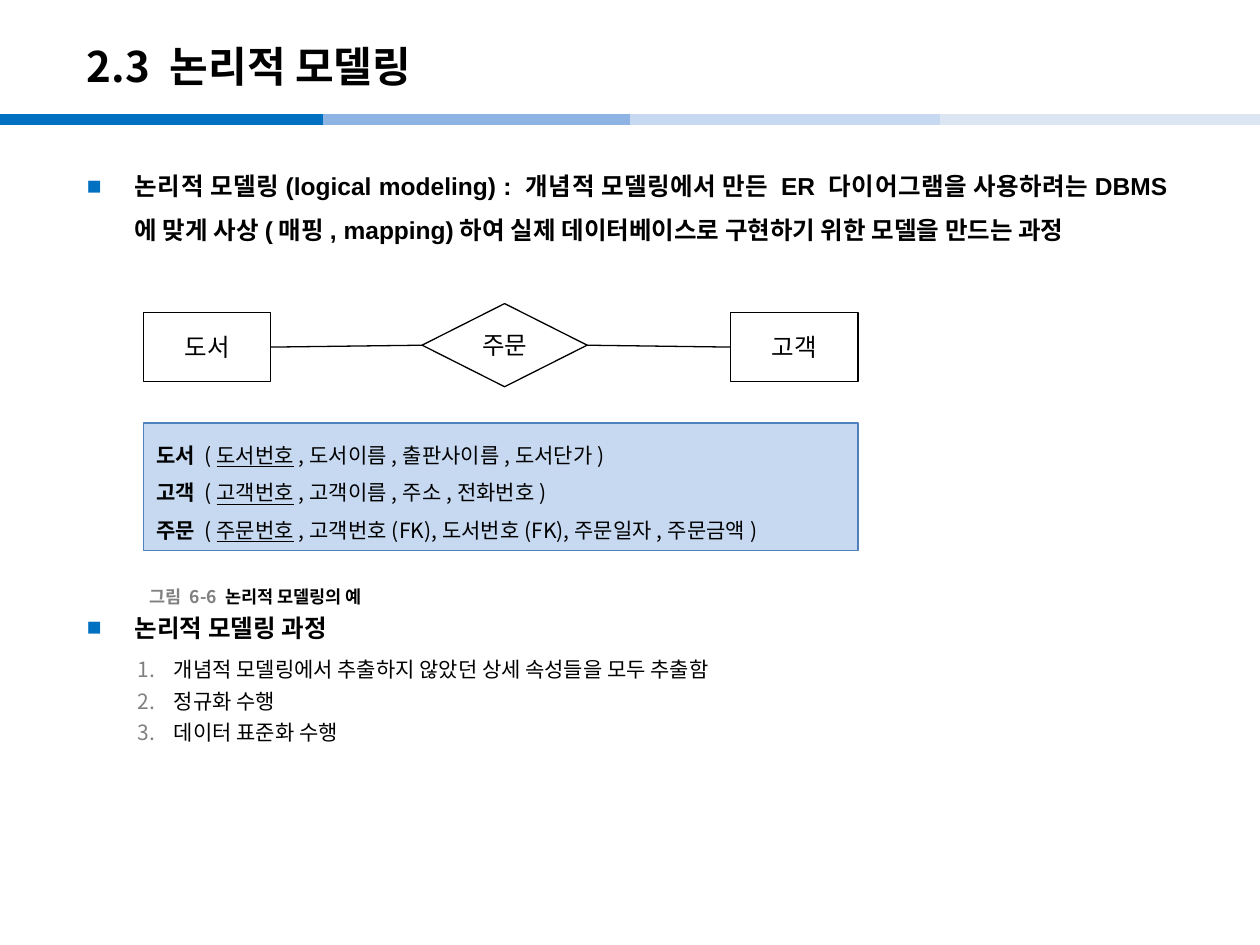
import pptx
import pptx.util
import pptx.dml.color
import pptx.enum.shapes
import pptx.enum.text
import pptx.oxml.ns
from lxml import etree

Inches = pptx.util.Inches
Pt = pptx.util.Pt
RGBColor = pptx.dml.color.RGBColor
Align = pptx.enum.text.PP_ALIGN
Anchor = pptx.enum.text.MSO_ANCHOR
Shape = pptx.enum.shapes.MSO_SHAPE
STRAIGHT = pptx.enum.shapes.MSO_CONNECTOR.STRAIGHT
qn = pptx.oxml.ns.qn

BLACK = RGBColor(0x00, 0x00, 0x00)
WHITE = RGBColor(0xFF, 0xFF, 0xFF)
GRAY = RGBColor(0x80, 0x80, 0x80)
BLUE = RGBColor(0x00, 0x70, 0xC0)
MID_BLUE = RGBColor(0x8E, 0xB4, 0xE3)
LIGHT_BLUE = RGBColor(0xC6, 0xD9, 0xF1)
PALE_BLUE = RGBColor(0xDC, 0xE6, 0xF2)
BORDER_BLUE = RGBColor(0x4F, 0x81, 0xBD)
KOREAN = "Noto Sans CJK KR"


def add_span(para, text, size, bold=False, color=BLACK, latin=KOREAN, underline=False):
    span = para.add_run()
    span.text = text
    span.font.size = Pt(size)
    span.font.bold = bold
    span.font.underline = underline
    span.font.color.rgb = color
    span.font.name = latin
    etree.SubElement(span.font._element, qn("a:ea"), typeface=KOREAN)


def add_line(start, end, color, width):
    line = page.shapes.add_connector(STRAIGHT, *[Inches(v) for v in start + end])
    line.line.color.rgb = color
    line.line.width = Pt(width)
    etree.SubElement(line._element.spPr, qn("a:effectLst"))
    return line


deck = pptx.Presentation()
deck.slide_width, deck.slide_height = Inches(10), Inches(7.5)
page = deck.slides.add_slide(deck.slide_layouts[1])

# Coloured band under the title
for left, color in [(0, BLUE), (2.56, MID_BLUE), (5, LIGHT_BLUE), (7.46, PALE_BLUE)]:
    add_line((left, 0.95), (left + 2.56, 0.95), color, 6)

title = page.shapes.title
title.left, title.top, title.width, title.height = [Inches(v) for v in (0.59, 0.22, 8.27, 0.6)]
title.text_frame.vertical_anchor = Anchor.MIDDLE
para = title.text_frame.paragraphs[0]
para.alignment = Align.LEFT
add_span(para, "2.3 논리적 모델링", 24, bold=True)

# Headings and numbered steps; the second heading leaves room for the diagram
body = page.placeholders[1]
body.left, body.top, body.width, body.height = [Inches(v) for v in (0.59, 1.19, 8.82, 5.98)]
body.text_frame.auto_size = pptx.enum.text.MSO_AUTO_SIZE.NONE
body_items = [
    (0, 0, "논리적 모델링(logical modeling) : 개념적 모델링에서 만든 ER 다이어그램을 사용하려는DBMS에 "
           "맞게 사상(매핑, mapping)하여 실제 데이터베이스로 구현하기 위한 모델을 만드는 과정"),
    (0, 202, "논리적 모델링 과정"),
    (1, 8.5, "개념적 모델링에서 추출하지 않았던 상세 속성들을 모두 추출함"),
    (1, 0, "정규화 수행"),
    (1, 0, "데이터 표준화 수행"),
]
for index, (level, space_before, text) in enumerate(body_items):
    para = body.text_frame.add_paragraph() if index else body.text_frame.paragraphs[0]
    para.level = level
    para.alignment = Align.JUSTIFY
    props = para._p.get_or_add_pPr()
    margin, hanging = (0.69, 0.29) if level else (0.38, 0.38)
    props.set("marL", str(Inches(margin)))
    props.set("indent", str(-Inches(hanging)))
    bullet_color = etree.SubElement(props, qn("a:buClr"))
    etree.SubElement(bullet_color, qn("a:srgbClr"), val=str(GRAY if level else BLUE))
    if level:
        etree.SubElement(props, qn("a:buFont"), typeface=KOREAN)
        etree.SubElement(props, qn("a:buAutoNum"), type="arabicPeriod")
    else:
        etree.SubElement(props, qn("a:buFont"), typeface="Arial")
        etree.SubElement(props, qn("a:buChar"), char="■")
    para.line_spacing = 1.0 if level else 1.5
    para.space_before = Pt(space_before)
    para.space_after = Pt(3.5 if level else 0)
    if level:
        add_span(para, text, 12)
    else:
        add_span(para, text, 14, bold=True, latin="Arial")

# Relational schema
schema = page.shapes.add_shape(
    Shape.RECTANGLE, Inches(1.14), Inches(3.36), Inches(5.67), Inches(1.01))
schema.shadow.inherit = False
schema.fill.solid()
schema.fill.fore_color.rgb = LIGHT_BLUE
schema.line.color.rgb = BORDER_BLUE
schema.line.width = Pt(1)
schema.text_frame.vertical_anchor = Anchor.TOP
relations = [
    ("도서 ", "도서번호", ",도서이름,출판사이름,도서단가)"),
    ("고객 ", "고객번호", ",고객이름,주소,전화번호)"),
    ("주문 ", "주문번호", ",고객번호(FK),도서번호(FK),주문일자,주문금액)"),
]
for index, (name, key, attributes) in enumerate(relations):
    para = schema.text_frame.add_paragraph() if index else schema.text_frame.paragraphs[0]
    para.alignment = Align.LEFT
    para.line_spacing = 1.5
    add_span(para, name, 12, bold=True)
    add_span(para, "(", 12)
    add_span(para, key, 12, underline=True)
    add_span(para, attributes, 12)

# Entity-relationship diagram
nodes = []
for kind, text, left, top, width, height in [
    (Shape.RECTANGLE, "도서", 1.14, 2.48, 1.01, 0.55),
    (Shape.DIAMOND, "주문", 3.35, 2.41, 1.31, 0.66),
    (Shape.RECTANGLE, "고객", 5.8, 2.48, 1.01, 0.55),
]:
    node = page.shapes.add_shape(kind, Inches(left), Inches(top), Inches(width), Inches(height))
    node.shadow.inherit = False
    node.fill.solid()
    node.fill.fore_color.rgb = WHITE
    node.line.color.rgb = BLACK
    node.line.width = Pt(0.75)
    node.text_frame.vertical_anchor = Anchor.MIDDLE
    para = node.text_frame.paragraphs[0]
    para.alignment = Align.CENTER
    add_span(para, text, 14)
    nodes.append(node)

for source, target in zip(nodes, nodes[1:]):
    link = add_line((0, 0), (1, 1), BLACK, 0.75)
    link.begin_connect(source, 3)
    link.end_connect(target, 1)

caption = page.shapes.add_textbox(Inches(1.09), Inches(4.5), Inches(2.26), Inches(0.47))
caption.text_frame.word_wrap = True
caption.text_frame.vertical_anchor = Anchor.MIDDLE
para = caption.text_frame.paragraphs[0]
add_span(para, "그림 6-6 ", 10, bold=True, color=GRAY)
add_span(para, "논리적 모델링의 예", 10, bold=True)

deck.save("out.pptx")
